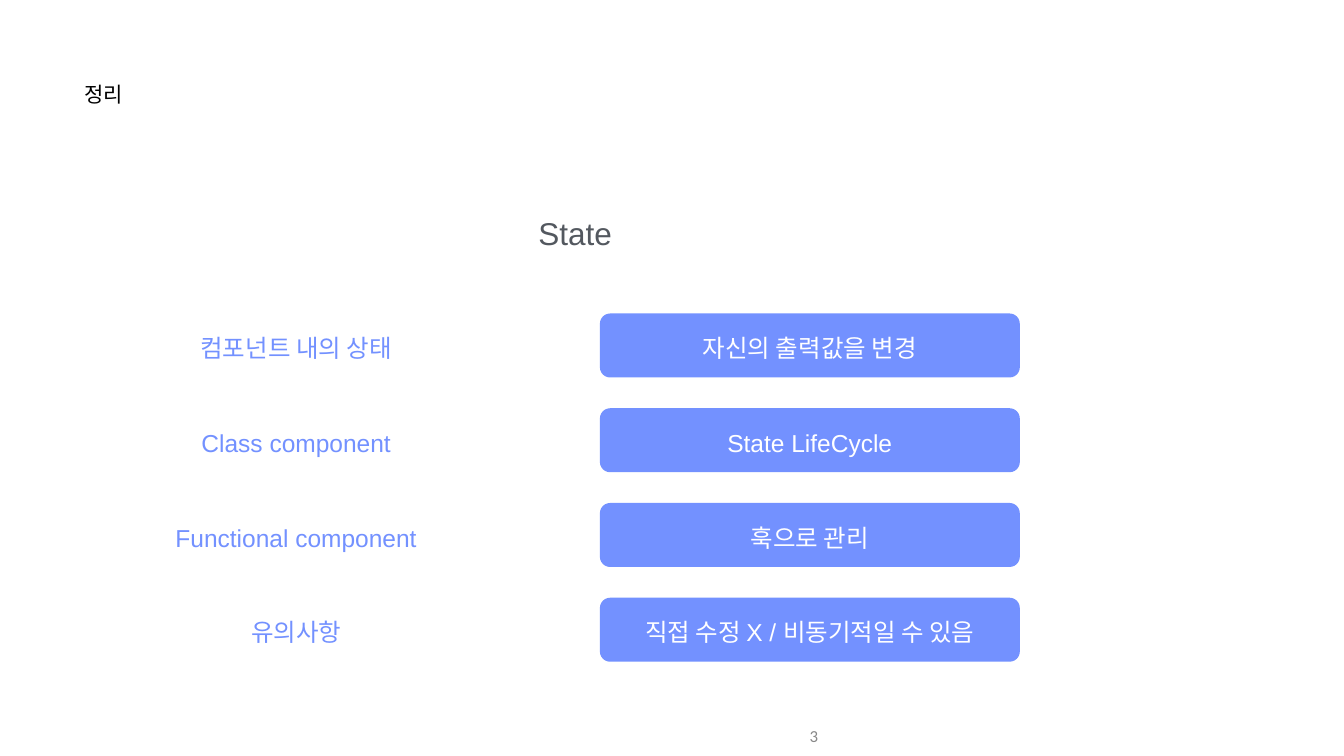
from dataclasses import dataclass

from pptx import Presentation
from pptx.dml.color import RGBColor
from pptx.enum.shapes import MSO_SHAPE
from pptx.enum.text import MSO_ANCHOR, MSO_AUTO_SIZE, PP_ALIGN
from pptx.slide import Slide
from pptx.text.text import TextFrame
from pptx.util import Inches, Pt


@dataclass(frozen=True)
class Style:
    size: int
    color: str
    align: PP_ALIGN = PP_ALIGN.CENTER
    anchor: MSO_ANCHOR = MSO_ANCHOR.MIDDLE
    font: str = "Arial"
    inset: float = 0.01


@dataclass(frozen=True)
class Theme:
    accent: str = "7391FF"
    title: Style = Style(30, "000000", PP_ALIGN.LEFT, MSO_ANCHOR.TOP)
    topic: Style = Style(45, "53585F", anchor=MSO_ANCHOR.TOP)
    label: Style = Style(35, "7391FF")
    answer: Style = Style(35, "FFFFFF")
    page: Style = Style(24, "888888", PP_ALIGN.RIGHT, font="Calibri", inset=0.1)


@dataclass(frozen=True)
class Box:
    left: float
    top: float
    width: float
    height: float

    def lengths(self) -> tuple:
        return tuple(Inches(v) for v in (self.left, self.top, self.width, self.height))


@dataclass(frozen=True)
class Row:
    label: str
    answer: str


THEME = Theme()
ROWS = (
    Row("컴포넌트 내의 상태", "자신의 출력값을 변경"),
    Row("Class component", "State LifeCycle"),
    Row("Functional component", "훅으로 관리"),
    Row("유의사항", "직접 수정 X / 비동기적일 수 있음"),
)
FIRST_ROW_TOP = 6.22
ROW_PITCH = 1.88
ROW_HEIGHT = 1.27
TEXT_DROP = 0.1  # extra top inset that sets row text just below the middle


def write(frame: TextFrame, text: str, style: Style) -> None:
    frame.text = text
    frame.word_wrap = True
    frame.auto_size = MSO_AUTO_SIZE.NONE
    frame.vertical_anchor = style.anchor
    frame.margin_left = frame.margin_right = Inches(style.inset)
    frame.margin_top = frame.margin_bottom = Inches(style.inset)
    paragraph = frame.paragraphs[0]
    paragraph.alignment = style.align
    paragraph.font.name = style.font
    paragraph.font.size = Pt(style.size)
    paragraph.font.color.rgb = RGBColor.from_string(style.color)


def add_text(slide: Slide, box: Box, text: str, style: Style) -> TextFrame:
    frame = slide.shapes.add_textbox(*box.lengths()).text_frame
    write(frame, text, style)
    return frame


def add_row(slide: Slide, row: Row, top: float) -> None:
    # Label on the left
    label = add_text(slide, Box(2.75, top, 6.25, ROW_HEIGHT), row.label, THEME.label)

    # Answer in a rounded plate on the right
    plate = slide.shapes.add_shape(
        MSO_SHAPE.ROUNDED_RECTANGLE, *Box(11.9, top, 8.33, ROW_HEIGHT).lengths())
    plate.adjustments[0] = 0.16
    plate.shadow.inherit = False
    plate.fill.solid()
    plate.fill.fore_color.rgb = RGBColor.from_string(THEME.accent)
    plate.line.fill.background()
    write(plate.text_frame, row.answer, THEME.answer)

    for frame in (label, plate.text_frame):
        frame.margin_top = Inches(TEXT_DROP)


def main() -> None:
    deck = Presentation()
    deck.slide_width, deck.slide_height = Inches(26.66), Inches(15)
    slide = deck.slides.add_slide(deck.slide_layouts.get_by_name("Title Only"))

    # Title
    title = slide.shapes.title
    title.left, title.top, title.width, title.height = Box(1.67, 1.6, 4.86, 1.18).lengths()
    write(title.text_frame, "정리", THEME.title)

    # Topic and its rows
    add_text(slide, Box(2.64, 4.24, 17.54, 0.79), "State", THEME.topic)
    for index, row in enumerate(ROWS):
        add_row(slide, row, FIRST_ROW_TOP + index * ROW_PITCH)

    # Page number
    add_text(slide, Box(10.33, 14.21, 6, 0.79), "3", THEME.page)

    deck.save("out.pptx")


if __name__ == "__main__":
    main()
